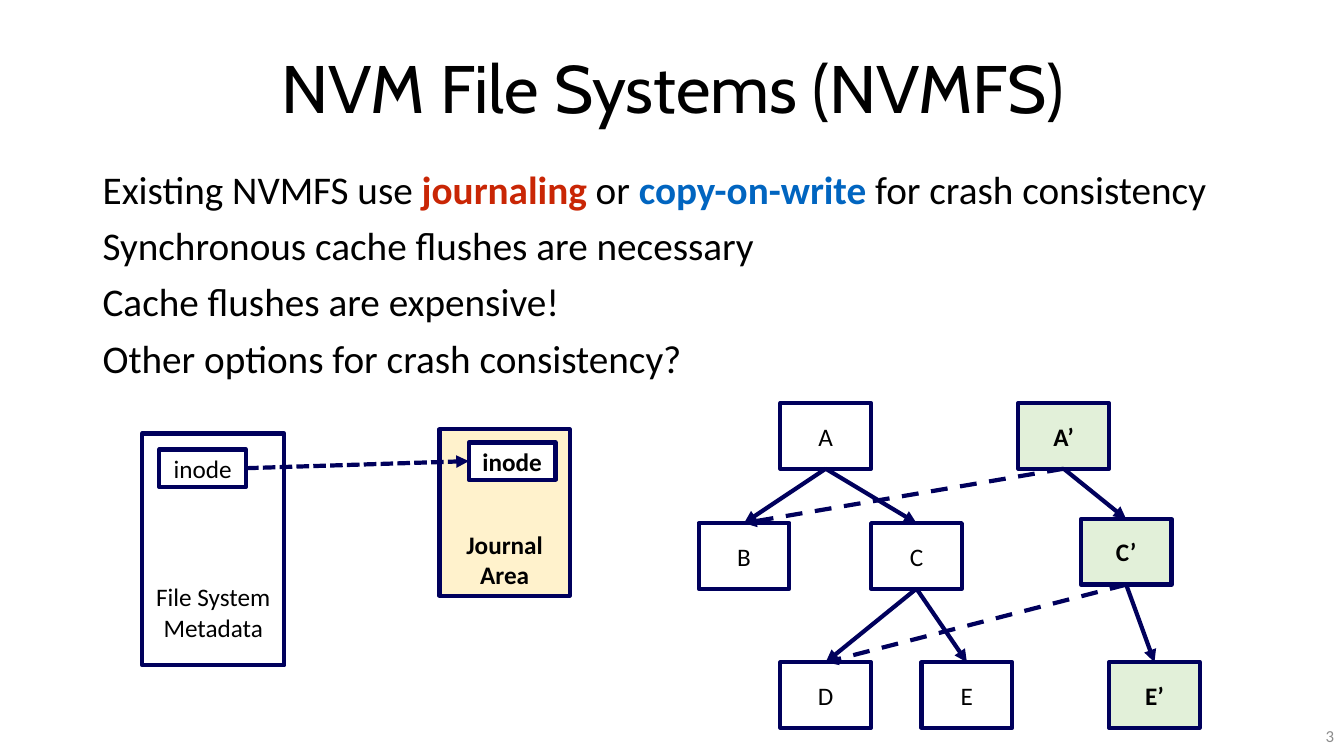
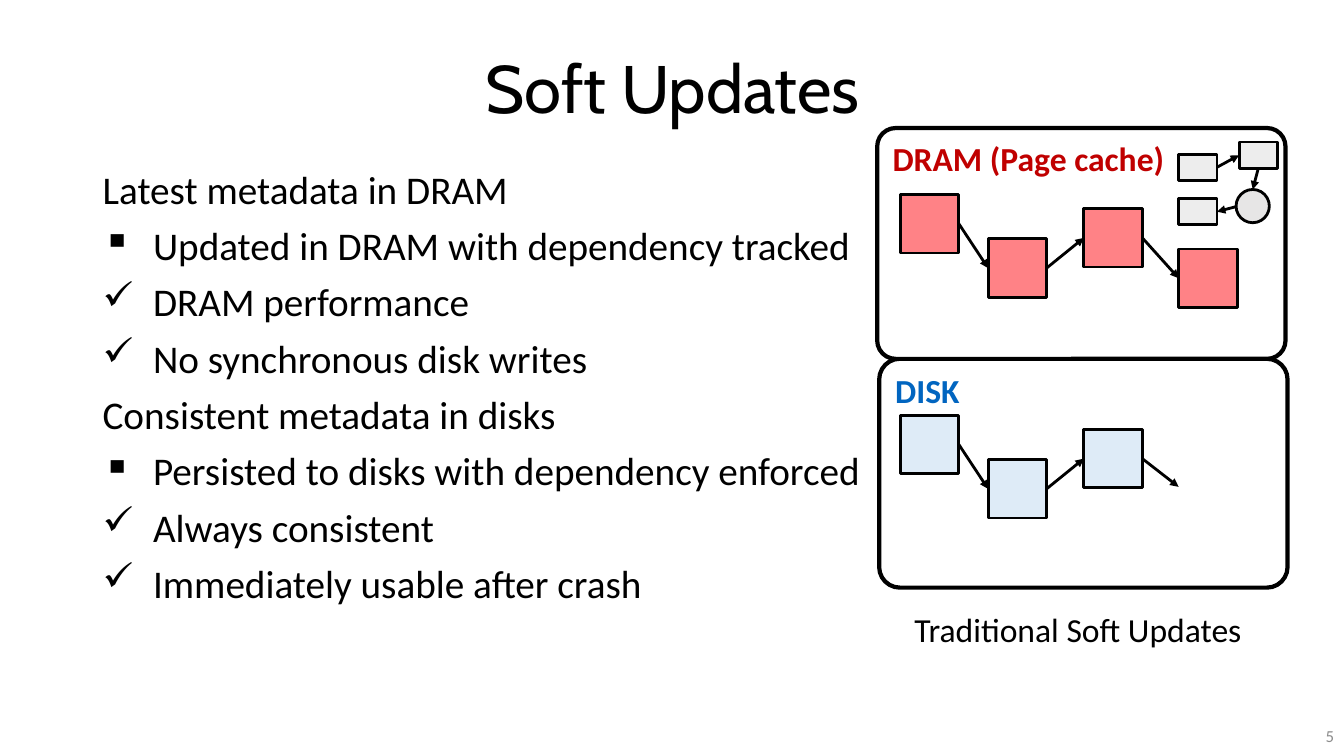
from dataclasses import dataclass

from lxml.etree import SubElement
from pptx import Presentation
from pptx.dml.color import RGBColor
from pptx.enum.dml import MSO_LINE
from pptx.enum.shapes import MSO_CONNECTOR, MSO_SHAPE
from pptx.enum.text import MSO_ANCHOR, MSO_AUTO_SIZE, PP_ALIGN
from pptx.oxml.ns import qn
from pptx.util import Pt

PX = 9144  # EMU in one px, 100 px to the inch
TOP, LEFT, BOTTOM, RIGHT = range(4)  # connection sites of a rectangle


@dataclass(frozen=True)
class Theme:
    head: str = "Cabin"
    text: str = "Calibri"
    title: int = 48
    body: int = 28
    label: int = 24
    node: int = 18
    small: int = 12
    black: RGBColor = RGBColor(0x00, 0x00, 0x00)
    white: RGBColor = RGBColor(0xFF, 0xFF, 0xFF)
    gray: RGBColor = RGBColor(0x8C, 0x8C, 0x8C)
    navy: RGBColor = RGBColor(0x00, 0x00, 0x5C)
    red: RGBColor = RGBColor(0xC9, 0x26, 0x05)
    blue: RGBColor = RGBColor(0x01, 0x65, 0xC0)
    dark_red: RGBColor = RGBColor(0xC0, 0x00, 0x00)
    green: RGBColor = RGBColor(0xE2, 0xF0, 0xD9)
    cream: RGBColor = RGBColor(0xFF, 0xF2, 0xCC)
    pink: RGBColor = RGBColor(0xFF, 0x82, 0x86)
    sky: RGBColor = RGBColor(0xDE, 0xEB, 0xF7)
    pale: RGBColor = RGBColor(0xED, 0xED, 0xED)
    ash: RGBColor = RGBColor(0xE7, 0xE6, 0xE6)


theme = Theme()


def box(slide, at, kind=None, text="", fill=None, line=None, width=3, size=theme.node,
        ink=theme.black, bold=False, align=PP_ALIGN.CENTER, anchor=MSO_ANCHOR.MIDDLE):
    """Add a preset shape, or a text box when no kind is given."""
    area = [n * PX for n in at]
    if kind is None:
        shape = slide.shapes.add_textbox(*area)
    else:
        shape = slide.shapes.add_shape(kind, *area)
        shape.shadow.inherit = False
        shape.line.color.rgb = line
        shape.line.width = Pt(width)
        if fill is None:
            shape.fill.background()
        else:
            shape.fill.solid()
            shape.fill.fore_color.rgb = fill
    frame = shape.text_frame
    frame.word_wrap = True
    frame.vertical_anchor = anchor
    if text:
        frame.text = text
    for para in frame.paragraphs:
        para.alignment = align
        for run in para.runs:
            run.font.name = theme.text
            run.font.size = Pt(size)
            run.font.bold = bold
            run.font.color.rgb = ink
    return shape


def link(slide, start, end, ink, width, dash=None):
    """Draw an arrow; each end is a (shape, site) pair or an (x, y) point in px."""
    arrow = slide.shapes.add_connector(MSO_CONNECTOR.STRAIGHT, 0, 0, 0, 0)
    if isinstance(start[0], int):
        arrow.begin_x, arrow.begin_y = [n * PX for n in start]
    else:
        arrow.begin_connect(*start)
    if isinstance(end[0], int):
        arrow.end_x, arrow.end_y = [n * PX for n in end]
    else:
        arrow.end_connect(*end)
    arrow.line.color.rgb = ink
    arrow.line.width = Pt(width)
    if dash is not None:
        arrow.line.dash_style = dash
    SubElement(arrow.line._get_or_add_ln(), qn("a:tailEnd"), type="triangle")
    SubElement(arrow._element.spPr, qn("a:effectLst"))


deck = Presentation()
deck.slide_width, deck.slide_height = 1333 * PX, 750 * PX

# Titles, body text and page numbers; "|" parts the runs of a line
accents = {"journaling ": theme.red, "copy-on-write": theme.blue}
pages = [
    ("NVM File Systems (NVMFS)", "3", [
        ("", "Existing NVMFS use |journaling |or |copy-on-write| for crash consistency"),
        ("", "Synchronous cache flushes are necessary"),
        ("", "Cache flushes are expensive!"),
        ("", "Other options for crash consistency?"),
    ]),
    ("Soft Updates", "5", [
        ("", "Latest metadata in DRAM"),
        ("▪", "Updated in DRAM with dependency tracked"),
        ("✓", "DRAM performance"),
        ("✓", "No synchronous disk writes"),
        ("", "Consistent metadata in disks"),
        ("▪", "Persisted to disks with dependency enforced"),
        ("✓", "Always consistent"),
        ("✓", "Immediately usable after crash"),
    ]),
]
for name, number, lines in pages:
    slide = deck.slides.add_slide(deck.slide_layouts[5])
    title = slide.shapes.title
    title.left, title.top, title.width, title.height = [n * PX for n in (92, 40, 1150, 102)]
    frame = title.text_frame
    frame.text = name
    frame.auto_size = MSO_AUTO_SIZE.NONE
    frame.vertical_anchor = MSO_ANCHOR.MIDDLE
    para = frame.paragraphs[0]
    para.alignment = PP_ALIGN.CENTER
    para.line_spacing = 0.9
    font = para.runs[0].font
    font.name, font.size = theme.head, Pt(theme.title)
    font.color.rgb = theme.black

    frame = box(slide, (92, 164, 1150, 512), anchor=MSO_ANCHOR.TOP).text_frame
    for i, (mark, line) in enumerate(lines):
        para = frame.add_paragraph() if i else frame.paragraphs[0]
        para.alignment = PP_ALIGN.LEFT
        if mark:
            props = para._p.get_or_add_pPr()
            props.set("marL", str(50 * PX))
            props.set("indent", str(-50 * PX))
            SubElement(props, qn("a:buChar"), char=mark)
        para.line_spacing = 0.9
        para.space_before = Pt(10 if i else 0)
        for part in line.split("|"):
            run = para.add_run()
            run.text = part
            run.font.name, run.font.size = theme.text, Pt(theme.body)
            run.font.bold = part in accents
            run.font.color.rgb = accents.get(part, theme.black)

    box(slide, (1033, 710, 300, 40), text=number, size=theme.small, ink=theme.gray,
        align=PP_ALIGN.RIGHT)

first, second = deck.slides

# Copy-on-write tree: new nodes are green and bold
nodes = {}
for name, x, y in [("A", 774, 400), ("B", 693, 519), ("C", 864, 519), ("D", 774, 657),
                   ("E", 914, 657), ("A’", 1010, 400), ("C’", 1072, 515), ("E’", 1100, 657)]:
    fresh = name.endswith("’")
    nodes[name] = box(first, (x, y, 90, 65), MSO_SHAPE.RECTANGLE, name, line=theme.navy,
                      fill=theme.green if fresh else None, bold=fresh)
for start, end, dash in [("A", "B", None), ("A", "C", None), ("C", "D", None),
                         ("C", "E", None), ("A’", "C’", None), ("C’", "E’", None),
                         ("A’", "B", MSO_LINE.DASH), ("C’", "D", MSO_LINE.DASH)]:
    link(first, (nodes[start], BOTTOM), (nodes[end], TOP), theme.navy, 3, dash)

# Journaling: each area holds an inode
inodes = []
for text, area, spot, fill, pad, bold in [
    ("File System\nMetadata", (141, 430, 141, 230), (158, 446), theme.white, 23, False),
    ("Journal\nArea", (436, 426, 129, 165), (465, 439), theme.cream, 6, True),
]:
    store = box(first, area, MSO_SHAPE.RECTANGLE, text, fill, theme.navy, bold=bold,
                anchor=MSO_ANCHOR.BOTTOM)
    store.text_frame.margin_bottom = pad * PX
    inodes.append(box(first, (*spot, 86, 37), MSO_SHAPE.RECTANGLE, "inode", theme.white,
                      theme.navy, bold=bold))
link(first, (inodes[0], RIGHT), (inodes[1], LEFT), theme.navy, 3, MSO_LINE.SQUARE_DOT)

# Page cache above disk, each with a chain of blocks
steps = [(893, 193), (980, 237), (1075, 207), (1169, 247)]
for text, area, curve, ink, fill, count, drop in [
    ("DISK", (872, 356, 405, 227), 0.09, theme.blue, theme.sky, 3, 219),
    ("DRAM (Page cache)", (870, 127, 405, 229), 0.08, theme.dark_red, theme.pink, 4, 0),
]:
    panel = box(second, area, MSO_SHAPE.ROUNDED_RECTANGLE, text, theme.white, theme.black,
                size=theme.label, ink=ink, bold=True, align=PP_ALIGN.LEFT,
                anchor=MSO_ANCHOR.TOP)
    panel.adjustments[0] = curve
    chain = [box(second, (x, y + drop, 58, 58), MSO_SHAPE.RECTANGLE, fill=fill,
                 line=theme.black, width=2) for x, y in steps[:count]]
    for left, right in zip(chain, chain[1:]):
        link(second, (left, RIGHT), (right, LEFT), theme.black, 2)
    if count < len(steps):
        link(second, (chain[-1], RIGHT), (1169, 483), theme.black, 2)

# Small dependency graph in the corner of the page cache
near, low, far = [box(second, (x, y, 38, 26), MSO_SHAPE.RECTANGLE, fill=theme.pale,
                      line=theme.black, width=2)
                  for x, y in [(1169, 153), (1169, 197), (1229, 141)]]
disc = box(second, (1226, 188, 33, 33), MSO_SHAPE.OVAL, fill=theme.ash, line=theme.black,
           width=2)
for start, end in [((near, RIGHT), (far, LEFT)), ((far, BOTTOM), (disc, TOP)),
                   ((1226, 205), (low, RIGHT))]:
    link(second, start, end, theme.black, 2)

box(second, (897, 599, 357, 50), text="Traditional Soft Updates", size=theme.label,
    align=PP_ALIGN.LEFT, anchor=MSO_ANCHOR.TOP)

deck.save("out.pptx")
